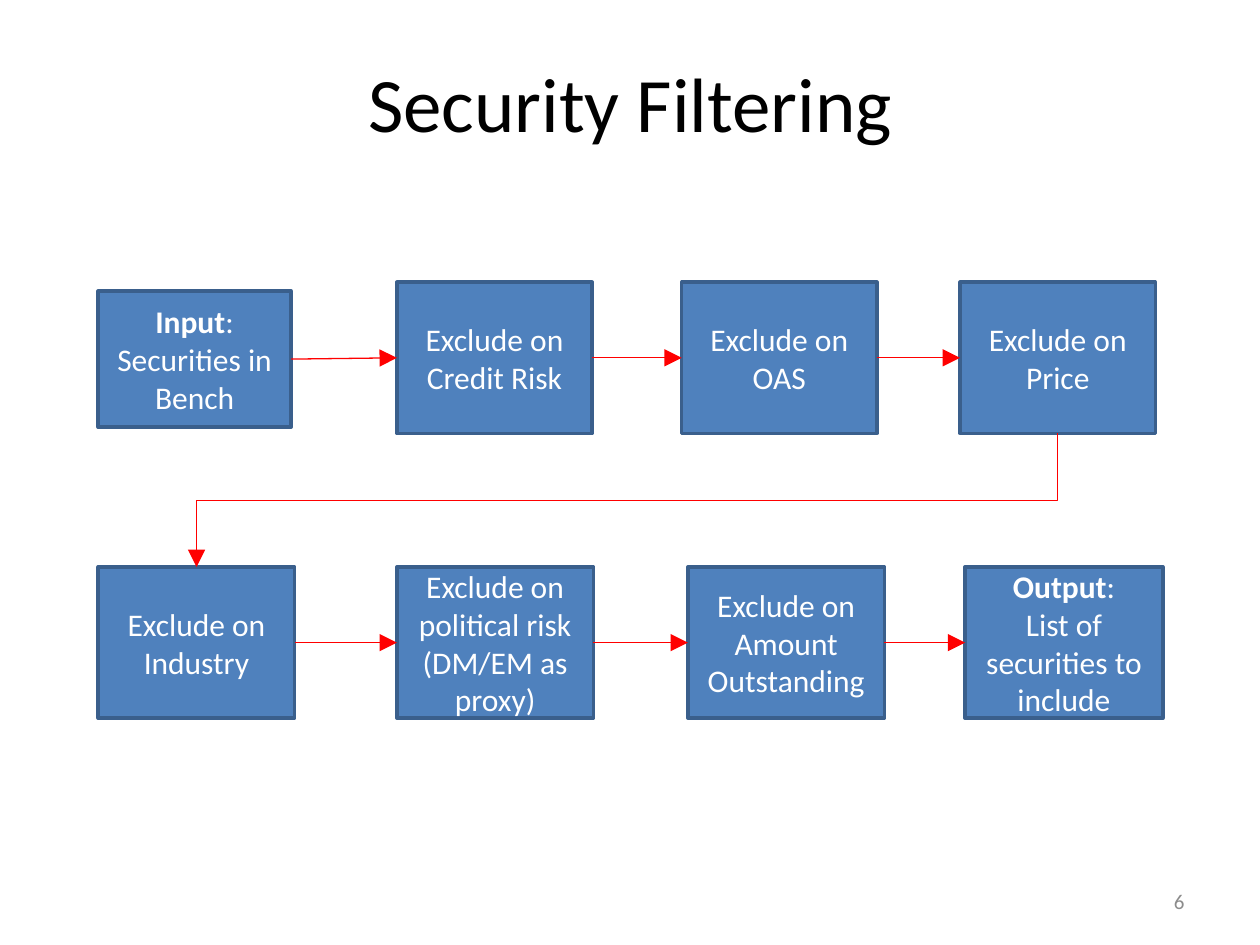
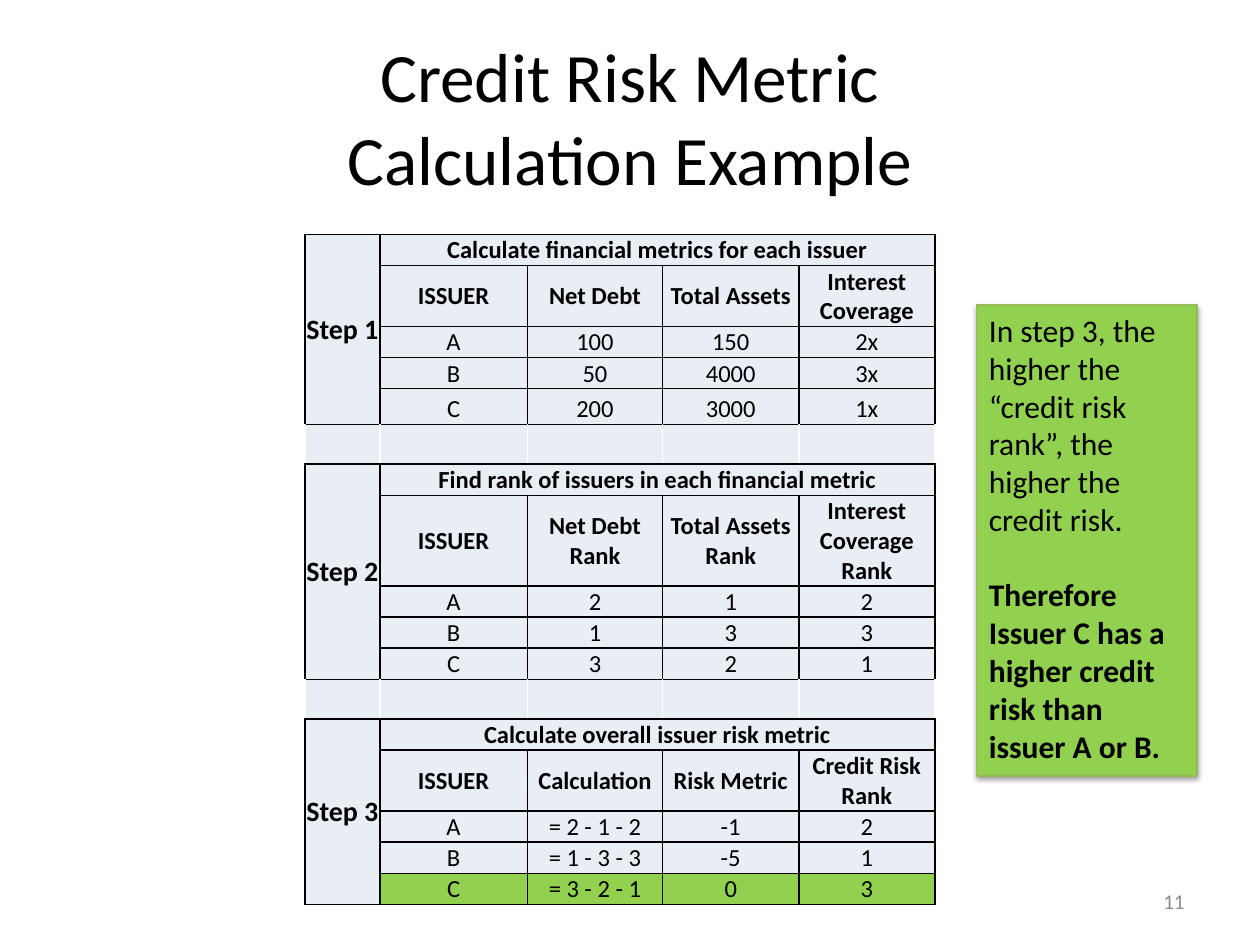
from lxml.etree import SubElement
from pptx import Presentation
from pptx.dml.color import RGBColor
from pptx.enum.shapes import MSO_CONNECTOR, MSO_SHAPE
from pptx.enum.text import MSO_ANCHOR, MSO_AUTO_SIZE, PP_ALIGN
from pptx.oxml import parse_xml
from pptx.oxml.ns import nsdecls, qn
from pptx.util import Inches, Pt

BLACK = RGBColor(0x00, 0x00, 0x00)
WHITE = RGBColor(0xFF, 0xFF, 0xFF)
BLUE = RGBColor(0x4F, 0x81, 0xBD)
DARK_BLUE = RGBColor(0x3A, 0x5F, 0x8C)
RED = RGBColor(0xFF, 0x00, 0x00)
GREEN = RGBColor(0x92, 0xD0, 0x50)
DARK_GREEN = RGBColor(0x98, 0xB9, 0x55)
PALE_BLUE = RGBColor(0xE9, 0xED, 0xF4)
GREY = RGBColor(0x8C, 0x8C, 0x8C)

# The slide is a grid of 100 columns by 75 rows; boxes are left, top, width, height
SLIDE_WIDTH, SLIDE_HEIGHT = Inches(10), Inches(7.5)
COLUMN, ROW = SLIDE_WIDTH / 100, SLIDE_HEIGHT / 75
NUMBER_BOX = (71.7, 69.5, 23.3, 4)
TOP, LEFT, BOTTOM, RIGHT = range(4)  # connection sites of a rectangle


def columns(count):
    return round(count * COLUMN)


def rows(count):
    return round(count * ROW)


def grid(box):
    left, top, width, height = box
    return columns(left), rows(top), columns(width), rows(height)


def inside(box, left, top, width, height):
    return box[0] + left, box[1] + top, width, height


def set_all(target, formats):
    for name, value in formats.items():
        setattr(target, name, value)


def write(text_frame, paragraphs, size, color=BLACK, align=PP_ALIGN.CENTER,
          anchor=MSO_ANCHOR.MIDDLE, gap=0):
    """Fill a frame with paragraphs, each a list of (text, bold) runs."""
    set_all(text_frame, {"word_wrap": True, "vertical_anchor": anchor,
                         "auto_size": MSO_AUTO_SIZE.NONE})
    for index, runs in enumerate(paragraphs):
        paragraph = text_frame.add_paragraph() if index else text_frame.paragraphs[0]
        paragraph.alignment = align
        if index:
            paragraph.space_before = Pt(gap)
        for text, bold in runs:
            for line_index, line in enumerate(text.split("\n")):
                if line_index:
                    paragraph.add_line_break()
                    SubElement(paragraph._p[-1], qn("a:rPr"), sz=str(round(size * 100)))
                run = paragraph.add_run()
                run.text = line
                set_all(run.font, {"name": "Calibri", "size": Pt(size), "bold": bold})
                run.font.color.rgb = color


def add_titled_slide(presentation, title, box, size, number):
    """Start a slide with its title and slide number."""
    slide = presentation.slides.add_slide(presentation.slide_layouts[5])
    shape = slide.shapes.title
    set_all(shape, dict(zip(("left", "top", "width", "height"), grid(box))))
    write(shape.text_frame, [[(title, False)]], size)
    number_box = slide.shapes.add_textbox(*grid(NUMBER_BOX))
    write(number_box.text_frame, [[(number, False)]], 12, GREY, PP_ALIGN.RIGHT)
    return slide


def add_rectangle(slide, box, fill, line, line_width):
    shape = slide.shapes.add_shape(MSO_SHAPE.RECTANGLE, *grid(box))
    shape.shadow.inherit = False
    shape.fill.solid()
    shape.fill.fore_color.rgb = fill
    shape.line.color.rgb = line
    shape.line.width = Pt(line_width)
    return shape


# Flow of filters
FILTER_ROWS = [
    # left, top, width, height, paragraphs
    [
        (0, 0.7, 15.3, 10.8, [[("Input", True), (":", False)],
                              [("Securities in Bench", False)]]),
        (23.7, 0, 15.5, 12, [[("Exclude on Credit Risk", False)]]),
        (46.3, 0, 15.5, 12, [[("Exclude on OAS", False)]]),
        (68.4, 0, 15.5, 12, [[("Exclude on Price", False)]]),
    ],
    [
        (0, 22.6, 15.6, 12, [[("Exclude on Industry", False)]]),
        (23.7, 22.6, 15.6, 12, [[("Exclude on political risk (DM/EM as proxy)", False)]]),
        (46.8, 22.6, 15.6, 12, [[("Exclude on Amount Outstanding", False)]]),
        (68.8, 22.6, 15.7, 12, [[("Output", True), (":", False)],
                                [("List of securities to include", False)]]),
    ],
]


def add_arrow(slide, kind, source, source_site, target, target_site):
    arrow = slide.shapes.add_connector(kind, 0, 0, 0, 0)
    arrow.begin_connect(source, source_site)
    arrow.end_connect(target, target_site)
    arrow.line.color.rgb = RED
    arrow.line.width = Pt(0.75)
    SubElement(arrow.line._get_or_add_ln(), qn("a:tailEnd"), type="triangle", w="lg", len="lg")
    SubElement(arrow._element.spPr, qn("a:effectLst"))
    return arrow


def turn_downward(arrow):
    """Rotate an elbow so that it leaves and arrives vertically."""
    run, drop = arrow.width, arrow.height
    set_all(arrow, {"left": arrow.left + (run - drop) // 2,
                    "top": arrow.top + (drop - run) // 2,
                    "width": drop, "height": run})
    transform = arrow._element.spPr.find(qn("a:xfrm"))
    transform.attrib.pop("flipH", None)
    transform.set("rot", "5400000")


def add_filter_flow(slide, box):
    shape_rows = []
    for filter_row in FILTER_ROWS:
        shapes = []
        for *place, paragraphs in filter_row:
            shape = add_rectangle(slide, inside(box, *place), BLUE, DARK_BLUE, 2)
            write(shape.text_frame, paragraphs, 18, WHITE)
            shapes.append(shape)
        for source, target in zip(shapes, shapes[1:]):
            add_arrow(slide, MSO_CONNECTOR.STRAIGHT, source, RIGHT, target, LEFT)
        shape_rows.append(shapes)
    upper, lower = shape_rows
    turn_downward(add_arrow(slide, MSO_CONNECTOR.ELBOW, upper[-1], BOTTOM, lower[0], TOP))


# Table of calculation steps
STEPS = [
    # name, heading, column heads, values, row heights
    ("Step 1", "Calculate financial metrics for each issuer",
     ["ISSUER", "Net Debt", "Total Assets", "Interest Coverage"],
     [["A", "100", "150", "2x"], ["B", "50", "4000", "3x"], ["C", "200", "3000", "1x"]],
     [2.45, 4.8, 2.45, 2.45, 2.85]),
    ("Step 2", "Find rank of issuers in each financial metric",
     ["ISSUER", "Net Debt Rank", "Total Assets Rank", "Interest Coverage Rank"],
     [["A", "2", "1", "2"], ["B", "1", "3", "3"], ["C", "3", "2", "1"]],
     [2.45, 7.2, 2.45, 2.45, 2.45]),
    ("Step 3", "Calculate overall issuer risk metric",
     ["ISSUER", "Calculation", "Risk Metric", "Credit Risk Rank"],
     [["A", "= 2 - 1 - 2", "-1", "2"], ["B", "= 1 - 3 - 3", "-5", "1"],
      ["C", "= 3 - 2 - 1", "0", "3"]],
     [2.45, 4.8, 2.45, 2.45, 2.45]),
]
STEP_COLUMNS = [5.95, 11.7, 10.75, 10.8, 10.8]
GAP_HEIGHT = 3.15
STEP_ROWS = len(STEPS[0][4])


def style_cell(cell, fill, side_color):
    set_all(cell, {"margin_left": Inches(0.01), "margin_right": Inches(0.01),
                   "margin_top": Inches(0.01), "margin_bottom": 0})
    properties = cell._tc.get_or_add_tcPr()
    sides = {"lnL": side_color, "lnR": side_color, "lnT": BLACK, "lnB": BLACK}
    for index, (side, color) in enumerate(sides.items()):
        properties.insert(index, parse_xml(
            f'<a:{side} {nsdecls("a")} w="{Pt(1)}"><a:solidFill>'
            f'<a:srgbClr val="{color}"/></a:solidFill></a:{side}>'))
    cell.fill.solid()
    cell.fill.fore_color.rgb = fill


def write_cell(cell, text, size=14, bold=False, anchor=MSO_ANCHOR.BOTTOM):
    write(cell.text_frame, [[(text, bold)]], size)
    cell.vertical_anchor = anchor


def fill_step(table, first, name, heading, heads, values):
    last = first + STEP_ROWS - 1
    table.cell(first, 0).merge(table.cell(last, 0))
    table.cell(first, 1).merge(table.cell(first, len(heads)))
    write_cell(table.cell(first, 0), name, 16, True, MSO_ANCHOR.MIDDLE)
    write_cell(table.cell(first, 1), heading, bold=True)
    for column, head in enumerate(heads, 1):
        write_cell(table.cell(first + 1, column), head, bold=True, anchor=MSO_ANCHOR.MIDDLE)
    for row, row_values in enumerate(values, first + 2):
        for column, value in enumerate(row_values, 1):
            write_cell(table.cell(row, column), value)


def add_step_table(slide, box):
    heights = []
    for step in STEPS:
        heights += ([GAP_HEIGHT] if heights else []) + step[-1]
    table = slide.shapes.add_table(len(heights), len(STEP_COLUMNS), *grid(box)).table
    set_all(table, {"first_row": False, "horz_banding": False})
    for column, width in zip(table.columns, STEP_COLUMNS):
        column.width = columns(width)
    for index, height in enumerate(heights):
        table.rows[index].height = rows(height)
        is_gap = index % (STEP_ROWS + 1) == STEP_ROWS
        for column, cell in enumerate(table.rows[index].cells):
            is_result = index == len(heights) - 1 and column > 0
            style_cell(cell, GREEN if is_result else PALE_BLUE, WHITE if is_gap else BLACK)
    for index, (*content, _) in enumerate(STEPS):
        fill_step(table, index * (STEP_ROWS + 1), *content)


def add_note(slide, box):
    """Green note with a soft shadow below."""
    note = add_rectangle(slide, box, GREEN, DARK_GREEN, 0.75)
    write(note.text_frame, [
        [("In step 3, the higher the “credit risk rank”, the higher the credit risk.", False)],
        [("Therefore Issuer C has a higher credit risk than issuer A or B.", True)],
    ], 18, align=PP_ALIGN.LEFT, anchor=MSO_ANCHOR.TOP, gap=21.5)
    effects = note._element.spPr.find(qn("a:effectLst"))
    effects.append(parse_xml(
        f'<a:outerShdw {nsdecls("a")} blurRad="{Pt(3.1)}" dist="{Pt(1.6)}" dir="5400000" '
        f'rotWithShape="0"><a:srgbClr val="{BLACK}"><a:alpha val="38000"/></a:srgbClr>'
        '</a:outerShdw>'))


def main():
    presentation = Presentation()
    set_all(presentation, {"slide_width": SLIDE_WIDTH, "slide_height": SLIDE_HEIGHT})

    slide = add_titled_slide(presentation, "Security Filtering",
                             (7.8, 1.8, 84.5, 12.5), 44, "6")
    add_filter_flow(slide, (7.8, 22.4, 84.5, 34.6))

    slide = add_titled_slide(presentation, "Credit Risk Metric\nCalculation Example",
                             (5, 3, 90, 12.5), 39.6, "11")
    add_step_table(slide, (24.2, 18.6, 50, 53.2))
    add_note(slide, (77.5, 24.2, 17.5, 37.4))

    presentation.save("out.pptx")


if __name__ == "__main__":
    main()
